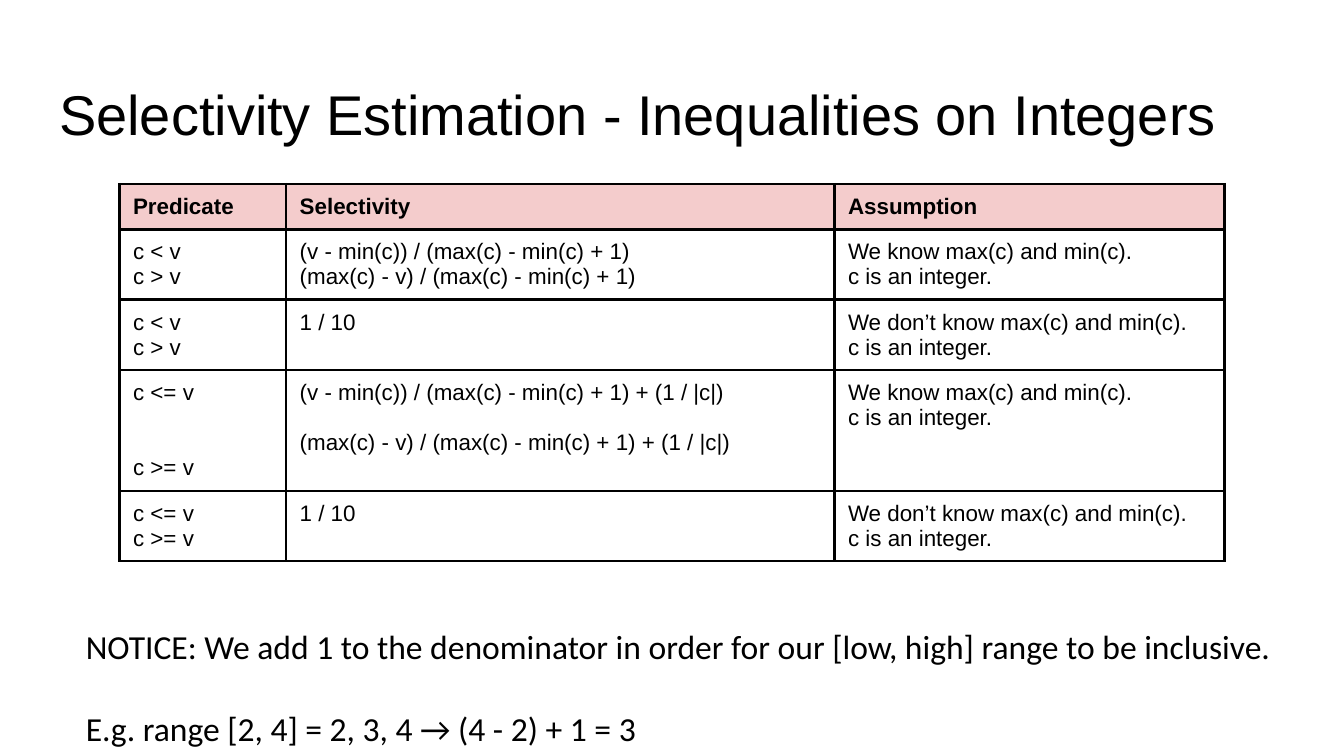
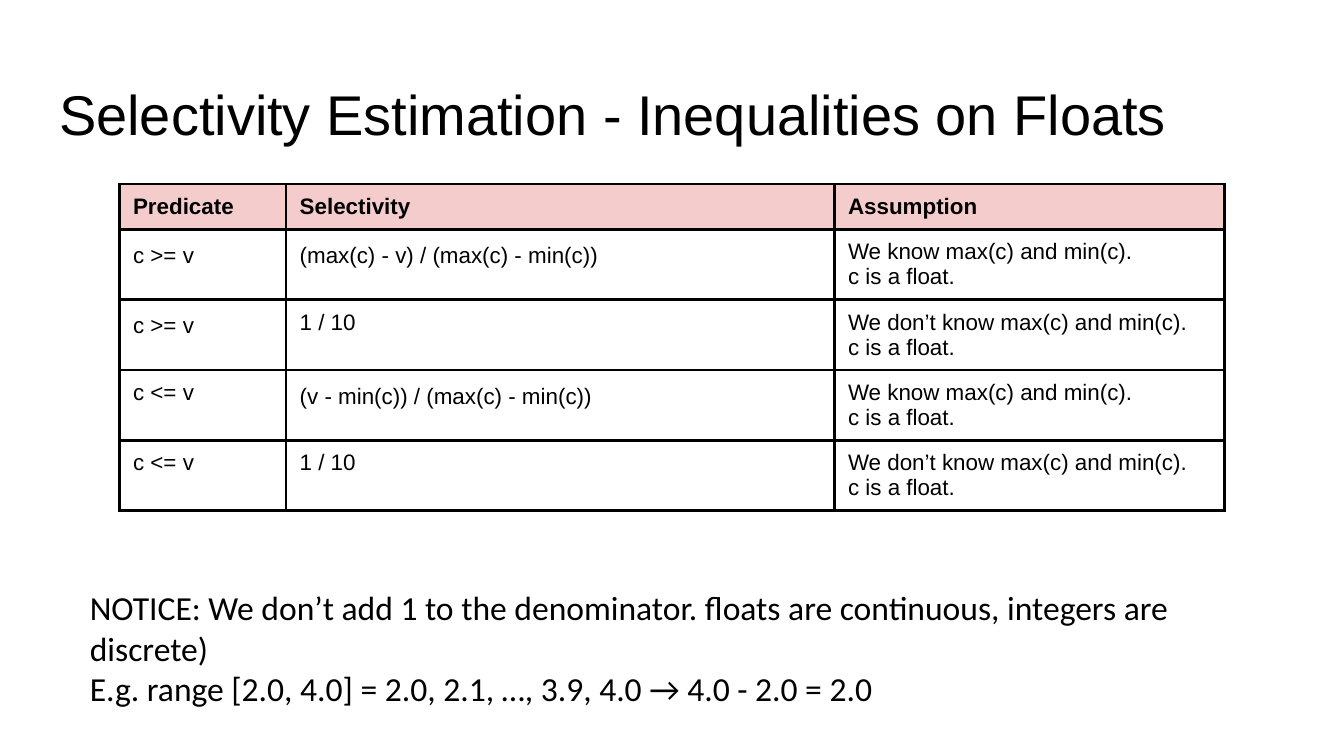
from dataclasses import dataclass

from lxml.etree import SubElement
from pptx import Presentation
from pptx.dml.color import RGBColor as Rgb
from pptx.enum.text import MSO_ANCHOR as Anchor, MSO_AUTO_SIZE as Fit, PP_ALIGN as Align
from pptx.oxml.ns import qn
from pptx.util import Inches, Pt


@dataclass(frozen=True)
class Theme:
    """Colours, fonts and sizes shared by the slides."""

    ink: Rgb = Rgb(0, 0, 0)
    head: Rgb = Rgb(0xF4, 0xCC, 0xCC)
    sans: str = "Arial"
    note: str = "Calibri"
    title_pt: int = 30
    cell_pt: int = 12
    note_pt: int = 18
    rule_pt: float = 1.5


T = Theme()
WIDE = 10
TITLE_BOX = (0.34, 0.49, 9.32, 0.63)
GRID_AT = (0.89, 1.37)
COLS = (1.24, 4.08, 2.9)
ROW = 0.31
HEADS = ("Predicate", "Selectivity", "Assumption")
KNOWN = "We know max(c) and min(c)."
UNKNOWN = "We don’t know max(c) and min(c)."
TITLE = {"name": T.sans, "size": Pt(T.title_pt), "bold": False}
CELL = {"name": T.sans, "size": Pt(T.cell_pt), "bold": False}
HEAD = CELL | {"bold": True}
NOTE = {"name": T.note, "size": Pt(T.note_pt), "bold": False}
LOOSE = {"line_spacing": 1.15}


def gap(points):
    """Return the format of a paragraph with space above it."""
    return {"space_before": Pt(points)}


def apply(target, values):
    """Set each attribute named in a dict of format values."""
    for name, value in values.items():
        setattr(target, name, value)


def margins(side, edge):
    """Return the inner margins at the sides and at top and bottom."""
    sizes = {"left": side, "right": side, "top": edge, "bottom": edge}
    return {f"margin_{name}": Inches(size) for name, size in sizes.items()}


def write(frame, lines, font):
    """Fill a text frame with lines, each plain or paired with a format."""
    for i, line in enumerate(lines):
        text, style = (line, {}) if isinstance(line, str) else line
        para = frame.add_paragraph() if i else frame.paragraphs[0]
        para.text = text
        apply(para, {"alignment": Align.LEFT, "space_before": Pt(0)} | style)
        apply(para.font, font)
        para.font.color.rgb = T.ink


def border(cell):
    """Rule all four sides of a table cell."""
    props = cell._tc.get_or_add_tcPr()
    for side in ("lnL", "lnR", "lnT", "lnB"):
        line = SubElement(props, qn(f"a:{side}"), w=str(Pt(T.rule_pt)))
        fill = SubElement(line, qn("a:solidFill"))
        SubElement(fill, qn("a:srgbClr"), val=str(T.ink))


def add_title(slide, text, box):
    """Place and format the title placeholder."""
    shape = slide.shapes.title
    apply(shape, dict(zip(("left", "top", "width", "height"), map(Inches, box))))
    frame = shape.text_frame
    apply(frame, {"word_wrap": True, "auto_size": Fit.NONE, "vertical_anchor": Anchor.TOP})
    apply(frame, margins(0.1, 0.1))
    write(frame, [text], TITLE)


def add_grid(slide, rows, at):
    """Draw the ruled table of predicates, whose rows grow with their text."""
    cells = [[[head] for head in HEADS], *rows]
    size = (sum(COLS), ROW * len(cells))
    grid = slide.shapes.add_table(len(cells), len(COLS), *map(Inches, at + size)).table
    apply(grid, {"first_row": False, "horz_banding": False})
    for col, width in zip(grid.columns, COLS):
        col.width = Inches(width)
    for r, row in enumerate(cells):
        for c, lines in enumerate(row):
            cell = grid.cell(r, c)
            apply(cell, margins(0.1, 5.4 / 72))
            border(cell)
            if r:
                cell.fill.background()
            else:
                cell.fill.solid()
                cell.fill.fore_color.rgb = T.head
            write(cell.text_frame, lines, CELL if r else HEAD)


def add_note(slide, lines, box):
    """Write the notice under the table."""
    frame = slide.shapes.add_textbox(*map(Inches, box)).text_frame
    apply(frame, {"word_wrap": True, "vertical_anchor": Anchor.TOP})
    apply(frame, margins(0.1, 0.1))
    write(frame, lines, NOTE)


def add_page(deck, kind, rows, note, box):
    """Build one slide of title, table and notice."""
    slide = deck.slides.add_slide(deck.slide_layouts[5])
    add_title(slide, f"Selectivity Estimation - Inequalities on {kind}", TITLE_BOX)
    add_grid(slide, rows, GRID_AT)
    add_note(slide, note, box)


def add_ints(deck):
    """Build the slide on integers."""
    known, unknown = ([text, "c is an integer."] for text in (KNOWN, UNKNOWN))
    low = "(v - min(c)) / (max(c) - min(c) + 1)"
    high = "(max(c) - v) / (max(c) - min(c) + 1)"
    extra = " + (1 / |c|)"
    rows = [
        (["c < v", "c > v"], [low, high], known),
        (["c < v", "c > v"], ["1 / 10"], unknown),
        (["c <= v", ("c >= v", gap(27))], [low + extra, (high + extra, gap(13.5))], known),
        (["c <= v", "c >= v"], ["1 / 10"], unknown),
    ]
    note = [
        "NOTICE: We add 1 to the denominator in order for our [low, high] range to be inclusive.",
        ("E.g. range [2, 4] = 2, 3, 4 → (4 - 2) + 1 = 3", gap(22)),
    ]
    add_page(deck, "Integers", rows, note, (0.54, 4.56, 9.04, 0.63))


def add_floats(deck):
    """Build the slide on floats."""
    known, unknown = ([text, "c is a float."] for text in (KNOWN, UNKNOWN))
    rows = [
        ([("c >= v", LOOSE)], [("(max(c) - v) / (max(c) - min(c))", LOOSE)], known),
        ([("c >= v", LOOSE)], ["1 / 10"], unknown),
        (["c <= v"], [("(v - min(c)) / (max(c) - min(c))", LOOSE)], known),
        (["c <= v"], ["1 / 10"], unknown),
    ]
    note = [
        "NOTICE: We don’t add 1 to the denominator. floats are continuous, integers are discrete)",
        "E.g. range [2.0, 4.0] = 2.0, 2.1, …, 3.9, 4.0 → 4.0 - 2.0 = 2.0",
    ]
    add_page(deck, "Floats", rows, note, (0.57, 4.27, 8.85, 0.63))


def main():
    """Build and save the deck."""
    deck = Presentation()
    apply(deck, {"slide_width": Inches(WIDE), "slide_height": Inches(WIDE * 9 / 16)})
    add_ints(deck)
    add_floats(deck)
    deck.save("out.pptx")


if __name__ == "__main__":
    main()
